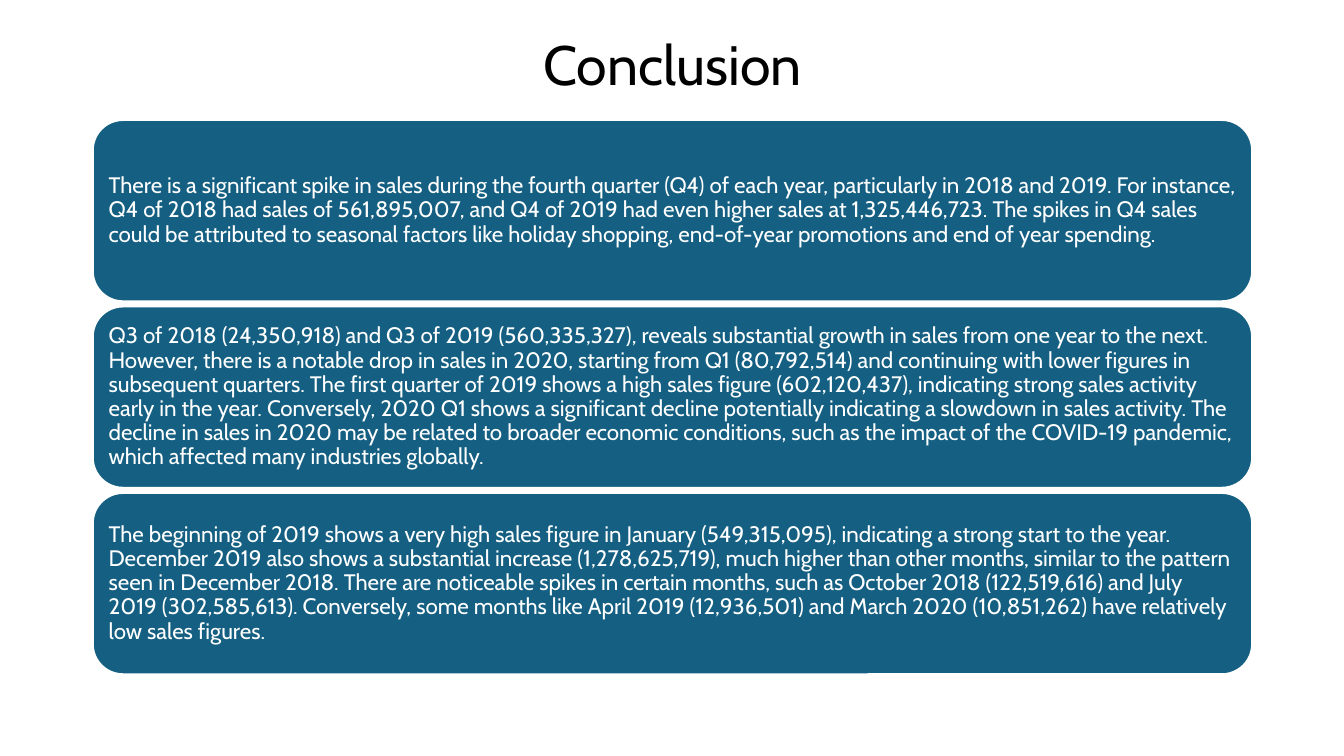
from pptx import Presentation
from pptx.dml.color import RGBColor
from pptx.enum.shapes import MSO_SHAPE
from pptx.enum.text import MSO_ANCHOR, MSO_AUTO_SIZE, PP_ALIGN
from pptx.util import Inches, Pt

ROUNDED = MSO_SHAPE.ROUNDED_RECTANGLE
MIDDLE = MSO_ANCHOR.MIDDLE
NO_FIT = MSO_AUTO_SIZE.NONE
LEFT, CENTER = PP_ALIGN.LEFT, PP_ALIGN.CENTER

COLORS = {"title": "000000", "card": "156082", "light": "FFFFFF"}
FONT = "Cabin"
MARGIN, WIDTH = 0.92, 11.5
CARD_TOP, CARD_HEIGHT, CARD_STEP = 1.19, 1.8, 1.85
CARD_INSET = 0.07

FINDINGS = [
    "There is a significant spike in sales during the fourth quarter (Q4) of each year, "
    "particularly in 2018 and 2019. For instance, Q4 of 2018 had sales of 561,895,007, "
    "and Q4 of 2019 had even higher sales at 1,325,446,723. The spikes in Q4 sales could "
    "be attributed to seasonal factors like holiday shopping, end-of-year promotions and "
    "end of year spending.",
    "Q3 of 2018 (24,350,918) and Q3 of 2019 (560,335,327), reveals substantial growth in "
    "sales from one year to the next. However, there is a notable drop in sales in 2020, "
    "starting from Q1 (80,792,514) and continuing with lower figures in subsequent "
    "quarters. The first quarter of 2019 shows a high sales figure (602,120,437), "
    "indicating strong sales activity early in the year. Conversely, 2020 Q1 shows a "
    "significant decline potentially indicating a slowdown in sales activity. The decline "
    "in sales in 2020 may be related to broader economic conditions, such as the impact "
    "of the COVID-19 pandemic, which affected many industries globally.",
    "The beginning of 2019 shows a very high sales figure in January (549,315,095), "
    "indicating a strong start to the year. December 2019 also shows a substantial "
    "increase (1,278,625,719), much higher than other months, similar to the pattern seen "
    "in December 2018. There are noticeable spikes in certain months, such as October "
    "2018 (122,519,616) and July 2019 (302,585,613). Conversely, some months like April "
    "2019 (12,936,501) and March 2020 (10,851,262) have relatively low sales figures.",
]


def write_text(shape, text, size, color, align):
    frame = shape.text_frame
    frame.word_wrap = True
    frame.auto_size = NO_FIT
    frame.vertical_anchor = MIDDLE
    para = frame.paragraphs[0]
    para.alignment = align
    para.line_spacing = 0.9
    span = para.add_run()
    span.text = text
    span.font.name = FONT
    span.font.size = Pt(size)
    span.font.color.rgb = RGBColor.from_string(COLORS[color])
    return frame


deck = Presentation()
deck.slide_width, deck.slide_height = Inches(13.33), Inches(7.5)
page = deck.slides.add_slide(deck.slide_layouts[5])

# Title
title = page.shapes.title
title.left, title.top = Inches(MARGIN), Inches(0.4)
title.width, title.height = Inches(WIDTH), Inches(0.53)
write_text(title, "Conclusion", 39.6, "title", CENTER)

# Stacked cards, one per finding
for index, finding in enumerate(FINDINGS):
    card = page.shapes.add_shape(
        ROUNDED, Inches(MARGIN), Inches(CARD_TOP + index * CARD_STEP),
        Inches(WIDTH), Inches(CARD_HEIGHT))
    card.shadow.inherit = False
    card.fill.solid()
    card.fill.fore_color.rgb = RGBColor.from_string(COLORS["card"])
    card.line.color.rgb = RGBColor.from_string(COLORS["light"])
    card.line.width = Pt(1.5)
    frame = write_text(card, finding, 16, "light", LEFT)
    frame.margin_left = frame.margin_right = Inches(CARD_INSET)
    frame.margin_top = frame.margin_bottom = Inches(CARD_INSET)
    frame.paragraphs[0].space_after = Pt(5.6)

deck.save("out.pptx")
